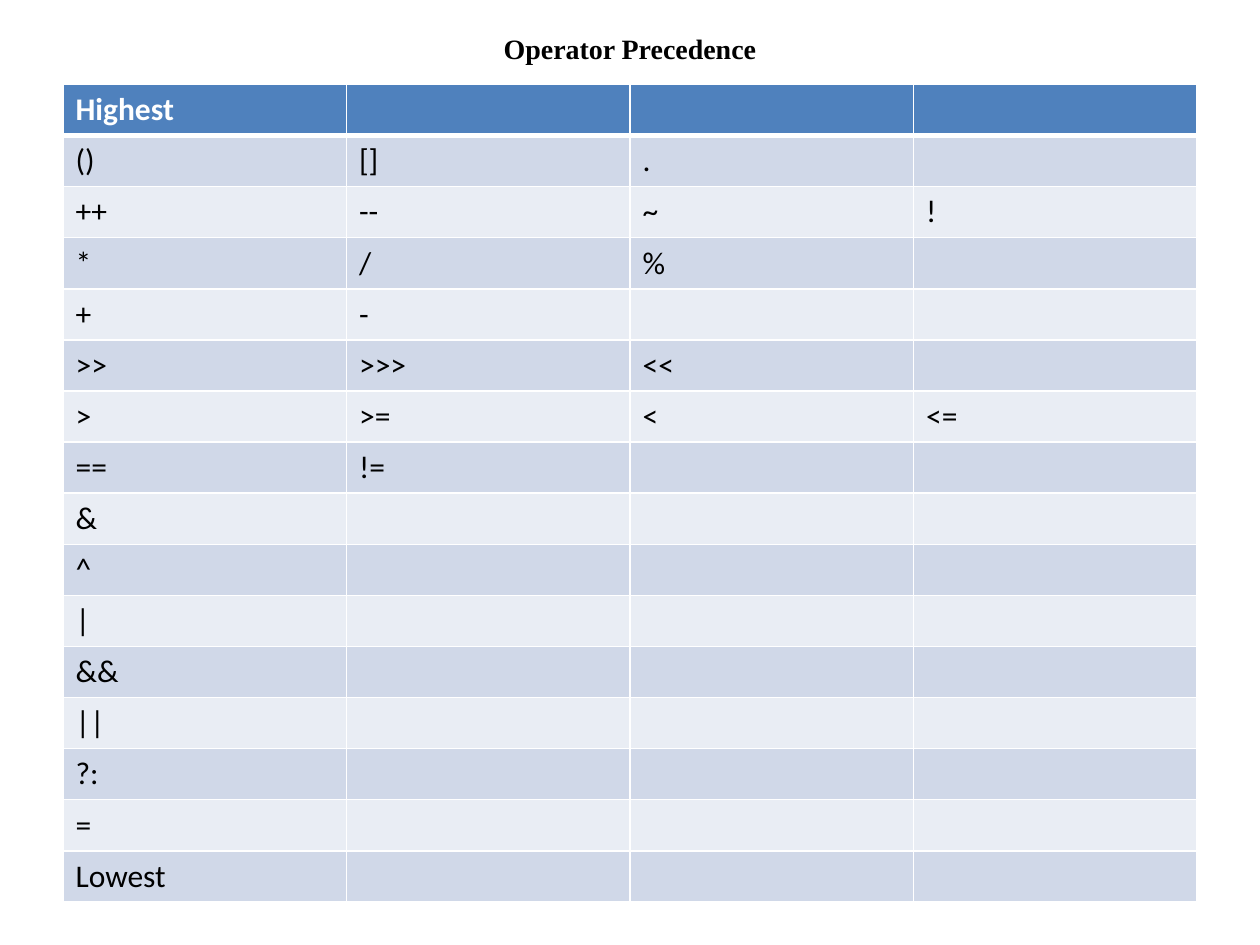
from lxml.etree import SubElement
from pptx import Presentation
from pptx.dml.color import RGBColor
from pptx.enum.text import MSO_ANCHOR, PP_ALIGN
from pptx.oxml.ns import qn
from pptx.util import Inches, Pt

BLACK = RGBColor(0x00, 0x00, 0x00)
WHITE = RGBColor(0xFF, 0xFF, 0xFF)
BLUE = RGBColor(0x4F, 0x81, 0xBD)
BAND_DARK = RGBColor(0xD0, 0xD8, 0xE8)
BAND_LIGHT = RGBColor(0xE9, 0xED, 0xF4)

COLS = 4
ROWS = [
    ["Highest"],
    ["()", "[]", "."],
    ["++", "--", "~", "!"],
    ["*", "/", "%"],
    ["+", "-"],
    [">>", ">>>", "<<"],
    [">", ">=", "<", "<="],
    ["==", "!="],
    ["&"],
    ["^"],
    ["|"],
    ["&&"],
    ["||"],
    ["?:"],
    ["="],
    ["Lowest"],
]


def add_run(p, text, font, size, color, bold):
    r = p.add_run()
    r.text = text
    r.font.name = font
    r.font.size = Pt(size)
    r.font.color.rgb = color
    r.font.bold = bold


def set_border(cell, side, points):
    # Borders must come before the fill in the cell properties
    tcPr = cell._tc.get_or_add_tcPr()
    ln = SubElement(tcPr, qn(f"a:ln{side}"), w=str(Pt(points)))
    fill = SubElement(ln, qn("a:solidFill"))
    SubElement(fill, qn("a:srgbClr"), val=str(WHITE))


prs = Presentation()
prs.slide_width, prs.slide_height = Inches(10), Inches(7.5)
s = prs.slides.add_slide(prs.slide_layouts[5])

# Title
title = s.shapes.title
title.left, title.top = Inches(0.5), Inches(0.17)
title.width, title.height = Inches(9), Inches(0.42)
tf = title.text_frame
tf.vertical_anchor = MSO_ANCHOR.MIDDLE
p = tf.paragraphs[0]
p.alignment = PP_ALIGN.CENTER
add_run(p, "Operator Precedence", "Times New Roman", 16, BLACK, True)

# Precedence table
table = s.shapes.add_table(len(ROWS), COLS, Inches(0.5), Inches(0.67),
                           Inches(9), Inches(6.49)).table
for i, operators in enumerate(ROWS):
    header = i == 0
    band = BLUE if header else BAND_DARK if i % 2 else BAND_LIGHT
    for j in range(COLS):
        cell = table.cell(i, j)
        for side in "LRTB":
            thick = (header and side == "B") or (i == 1 and side == "T")
            set_border(cell, side, 3 if thick else 1)
        cell.fill.solid()
        cell.fill.fore_color.rgb = band
        p = cell.text_frame.paragraphs[0]
        if j < len(operators):
            add_run(p, operators[j], "Calibri", 18,
                    WHITE if header else BLACK, header)

prs.save("out.pptx")
